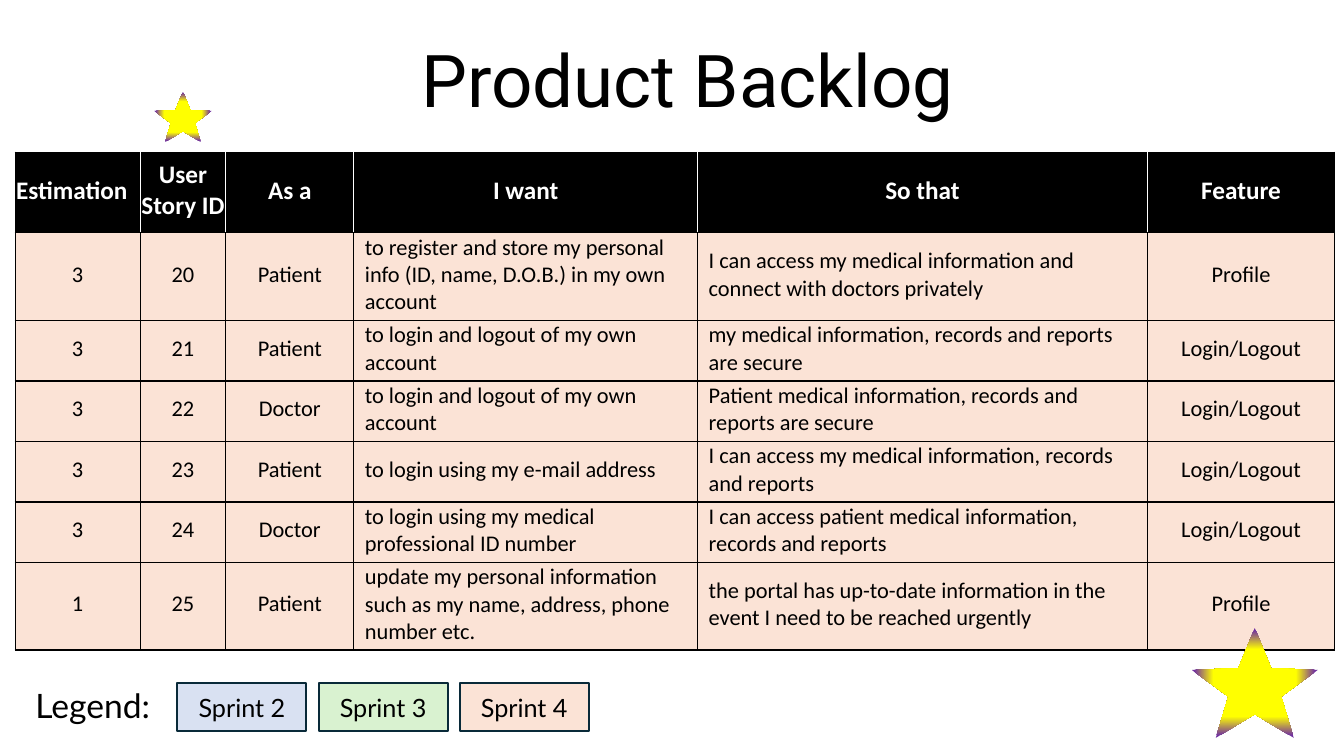
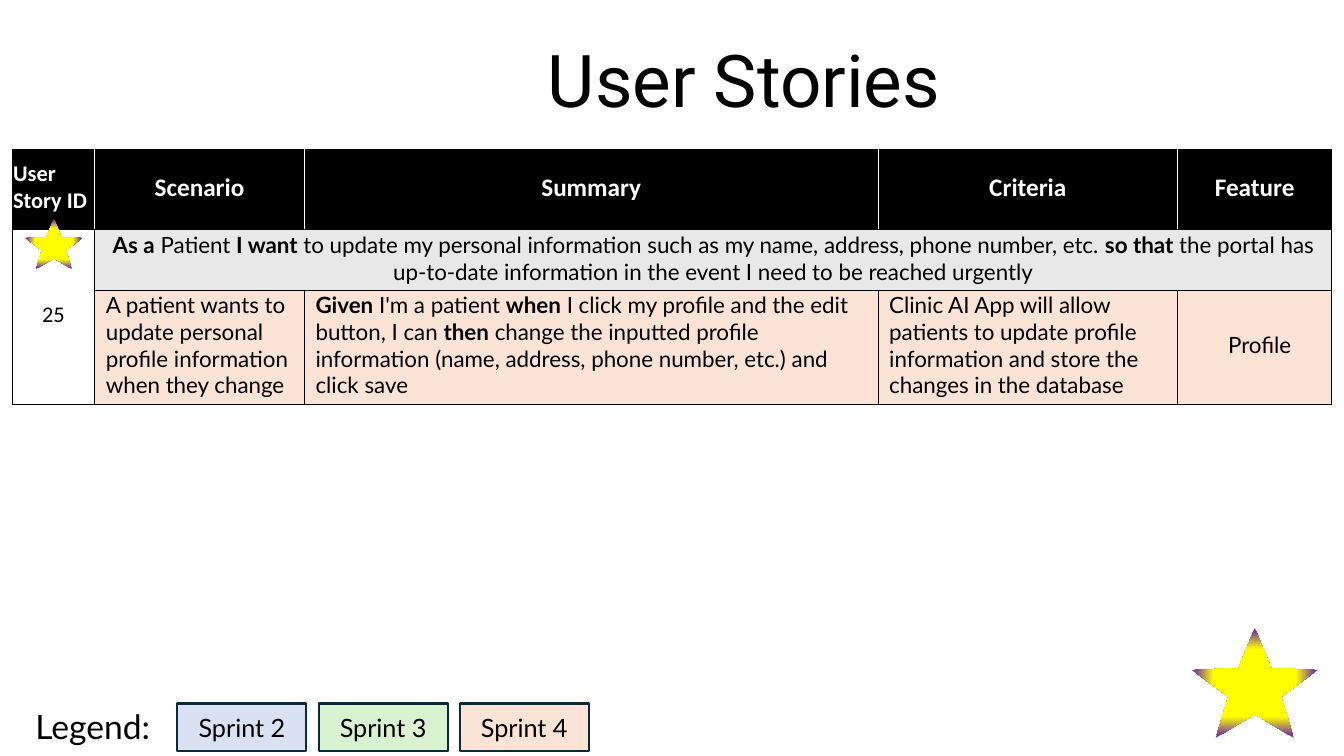
"""Build the product backlog and user story slides on a grid of tenth-inch modules."""
import dataclasses
import itertools

import lxml.etree
import pptx
import pptx.dml.color
import pptx.enum.dml
import pptx.enum.shapes
import pptx.enum.text
import pptx.oxml.ns
import pptx.util

ALIGN = pptx.enum.text.PP_ALIGN
SHAPE = pptx.enum.shapes.MSO_SHAPE
qn = pptx.oxml.ns.qn


@dataclasses.dataclass(frozen=True)
class Theme:
    ink: str = "000000"
    paper: str = "FFFFFF"
    grey: str = "E8E8E8"
    outline: str = "092A39"
    sprints: tuple = (("Sprint 2", "D9E1F2"), ("Sprint 3", "D9F2D0"), ("Sprint 4", "FBE3D6"))
    current: str = "FBE3D6"
    star_core: str = "FFFF00"
    star_tip: str = "7030A0"
    title_font: str = "Roboto"
    body_font: str = "Lato"
    table_font: str = "Calibri"
    title_size: int = 52
    legend_size: int = 24
    head_size: int = 18
    body_size: int = 16


def grid(n):
    return pptx.util.Inches(n / 10)


def rgb(color):
    return pptx.dml.color.RGBColor.from_string(color)


def write(tf, text, font, size, color, bold=False, align=ALIGN.CENTER):
    tf.word_wrap = True
    p = tf.paragraphs[0]
    p.alignment = align
    for i, part in enumerate(text.split("**")):
        if part:
            r = p.add_run()
            r.text = part
            r.font.name = font
            r.font.size = pptx.util.Pt(size)
            r.font.bold = bold or i % 2 == 1
            r.font.color.rgb = rgb(color)


class Deck:
    def __init__(self, theme):
        self.theme = theme
        self.prs = pptx.Presentation()
        self.prs.slide_width, self.prs.slide_height = grid(133.3), grid(75)
        self.s = None

    def slide(self, title, left, width):
        self.s = self.prs.slides.add_slide(self.prs.slide_layouts[6])
        tb = self.s.shapes.add_textbox(grid(left), grid(3), grid(width), grid(9.8))
        write(tb.text_frame, title, self.theme.title_font, self.theme.title_size, self.theme.ink)

    def border(self, cell, **sides):
        tcPr = cell._tc.get_or_add_tcPr()
        for side in "LRTB":
            ln = lxml.etree.SubElement(tcPr, qn(f"a:ln{side}"), w=str(pptx.util.Pt(1)))
            fill = lxml.etree.SubElement(ln, qn("a:solidFill"))
            lxml.etree.SubElement(fill, qn("a:srgbClr"), val=sides.get(side, self.theme.ink))

    def cell(self, cell, text, fill, indent=0, **fmt):
        cell.fill.solid()
        cell.fill.fore_color.rgb = rgb(fill)
        cell.vertical_anchor = pptx.enum.text.MSO_ANCHOR.MIDDLE
        cell.margin_left = grid(0.1 + indent)
        cell.margin_right = cell.margin_top = grid(0.1)
        cell.margin_bottom = grid(0.5)
        style = {"font": self.theme.table_font, "size": self.theme.body_size, "color": self.theme.ink}
        write(cell.text_frame, text, **{**style, **fmt})

    def table(self, left, top, cols, rows, heads, first_size):
        t = self.theme
        frame = self.s.shapes.add_table(len(rows), len(cols), grid(left), grid(top),
                                        grid(sum(cols)), grid(sum(rows)))
        tbl = frame.table
        tbl.first_row = tbl.horz_banding = False
        for col, width in zip(tbl.columns, cols):
            col.width = grid(width)
        for row, height in zip(tbl.rows, rows):
            row.height = grid(height)
        last = len(cols) - 1
        for r, c in itertools.product(range(len(rows)), range(len(cols))):
            sides = {}
            if r == 0 and c > 0:
                sides["L"] = t.paper
            if r == 0 and c < last:
                sides["R"] = t.paper
            self.border(tbl.cell(r, c), **sides)
        for c, head in enumerate(heads):
            self.cell(tbl.cell(0, c), head, t.ink, color=t.paper, bold=True,
                      size=t.head_size if c else first_size,
                      align=ALIGN.CENTER if c else ALIGN.LEFT)
        return tbl

    def legend(self, top):
        t = self.theme
        grp = self.s.shapes.add_group_shape()
        for i, (name, fill) in enumerate(t.sprints):
            sp = grp.shapes.add_shape(SHAPE.RECTANGLE, grid(17.6 + 14 * i), grid(top),
                                      grid(12.8), grid(4.7))
            sp.shadow.inherit = False
            sp.fill.solid()
            sp.fill.fore_color.rgb = rgb(fill)
            sp.line.color.rgb = rgb(t.outline)
            sp.line.width = pptx.util.Pt(1.5)
            sp.text_frame.vertical_anchor = pptx.enum.text.MSO_ANCHOR.MIDDLE
            write(sp.text_frame, name, t.body_font, t.head_size, t.ink)
        tb = grp.shapes.add_textbox(grid(0.8), grid(top - 0.3), grid(16.8), grid(5))
        write(tb.text_frame, "Legend:", t.body_font, t.legend_size, t.ink)

    def star(self, left, top, width, height):
        sp = self.s.shapes.add_shape(SHAPE.STAR_5_POINT, grid(left), grid(top),
                                     grid(width), grid(height))
        sp.shadow.inherit = False
        sp.adjustments[0] = 0.21
        sp.line.fill.background()
        sp.fill.gradient()
        stops = ((0.61, self.theme.star_core), (0.96, self.theme.star_tip))
        for stop, (position, color) in zip(sp.fill.gradient_stops, stops):
            stop.position = position
            stop.color.rgb = rgb(color)
        grad = sp._element.spPr.find(qn("a:gradFill"))
        grad.remove(grad.find(qn("a:lin")))
        shade = lxml.etree.SubElement(grad, qn("a:path"), {"path": "shape"})
        lxml.etree.SubElement(shade, qn("a:fillToRect"), dict.fromkeys("ltrb", "50000"))

    def small_star(self, left, top):
        self.star(left, top, 5.7, 5)

    def corner_star(self):
        self.star(118.2, 62.3, 12.5, 10.9)


BACKLOG_HEADS = ("Estimation", "User Story ID", "As a", "I want", "So that", "Feature")
BACKLOG = (
    ("3", "20", "Patient", "to register and store my personal info (ID, name, D.O.B.) in my own account",
     "I can access my medical information and connect with doctors privately", "Profile"),
    ("3", "21", "Patient", "to login and logout of my own account",
     "my medical information, records and reports are secure", "Login/Logout"),
    ("3", "22", "Doctor", "to login and logout of my own account",
     "Patient medical information, records and reports are secure", "Login/Logout"),
    ("3", "23", "Patient", "to login using my e-mail address",
     "I can access my medical information, records and reports", "Login/Logout"),
    ("3", "24", "Doctor", "to login using my medical professional ID number",
     "I can access patient medical information, records and reports", "Login/Logout"),
    ("1", "25", "Patient", "update my personal information such as my name, address, phone number etc.",
     "the portal has up-to-date information in the event I need to be reached urgently", "Profile"),
)
STORY_HEADS = ("User Story ID", "Scenario", "Summary", "Criteria", "Feature")
STORY = ("**As a** Patient **I want** to update my personal information such as my name, address, "
         "phone number, etc. **so that** the portal has up-to-date information in the event "
         "I need to be reached urgently")
STORY_DETAILS = (
    "A patient wants to update personal profile information when they change",
    "**Given** I'm a patient **when** I click my profile and the edit button, I can **then** change "
    "the inputted profile information (name, address, phone number, etc.) and click save",
    "Clinic AI App will allow patients to update profile information and store the changes "
    "in the database",
    "Profile",
)


def backlog_slide(deck):
    t = deck.theme
    deck.slide("Product Backlog", 14.1, 108.2)
    tbl = deck.table(1.5, 15.1, (12.4, 8.5, 12.7, 34.1, 44.6, 18.6),
                     (8, 8.7, 6, 6, 6, 6, 8.7), BACKLOG_HEADS, t.head_size)
    for r, story in enumerate(BACKLOG, 1):
        for c, text in enumerate(story):
            prose = BACKLOG_HEADS[c] in ("I want", "So that")
            deck.cell(tbl.cell(r, c), text, t.current, indent=1 if prose else 0,
                      align=ALIGN.LEFT if prose else ALIGN.CENTER)
    deck.legend(67.8)
    deck.corner_star()
    deck.small_star(15.3, 9.1)


def story_slide(deck):
    t = deck.theme
    deck.slide("User Stories", 14.3, 119)
    tbl = deck.table(1.2, 14.8, (8.2, 20.8, 56.9, 29.7, 15.3), (8, 6, 11.3),
                     STORY_HEADS, t.body_size)
    tbl.cell(1, 0).merge(tbl.cell(2, 0))
    tbl.cell(1, 1).merge(tbl.cell(1, 4))
    deck.cell(tbl.cell(1, 0), "25", t.paper)
    deck.cell(tbl.cell(1, 1), STORY, t.grey, font=t.body_font)
    for c, text in enumerate(STORY_DETAILS, 1):
        deck.cell(tbl.cell(2, c), text, t.current, indent=1, font=t.body_font,
                  align=ALIGN.CENTER if STORY_HEADS[c] == "Feature" else ALIGN.LEFT)
    deck.legend(69.8)
    deck.corner_star()
    deck.small_star(2.5, 21.7)


def main():
    deck = Deck(Theme())
    backlog_slide(deck)
    story_slide(deck)
    deck.prs.save("out.pptx")


if __name__ == "__main__":
    main()
